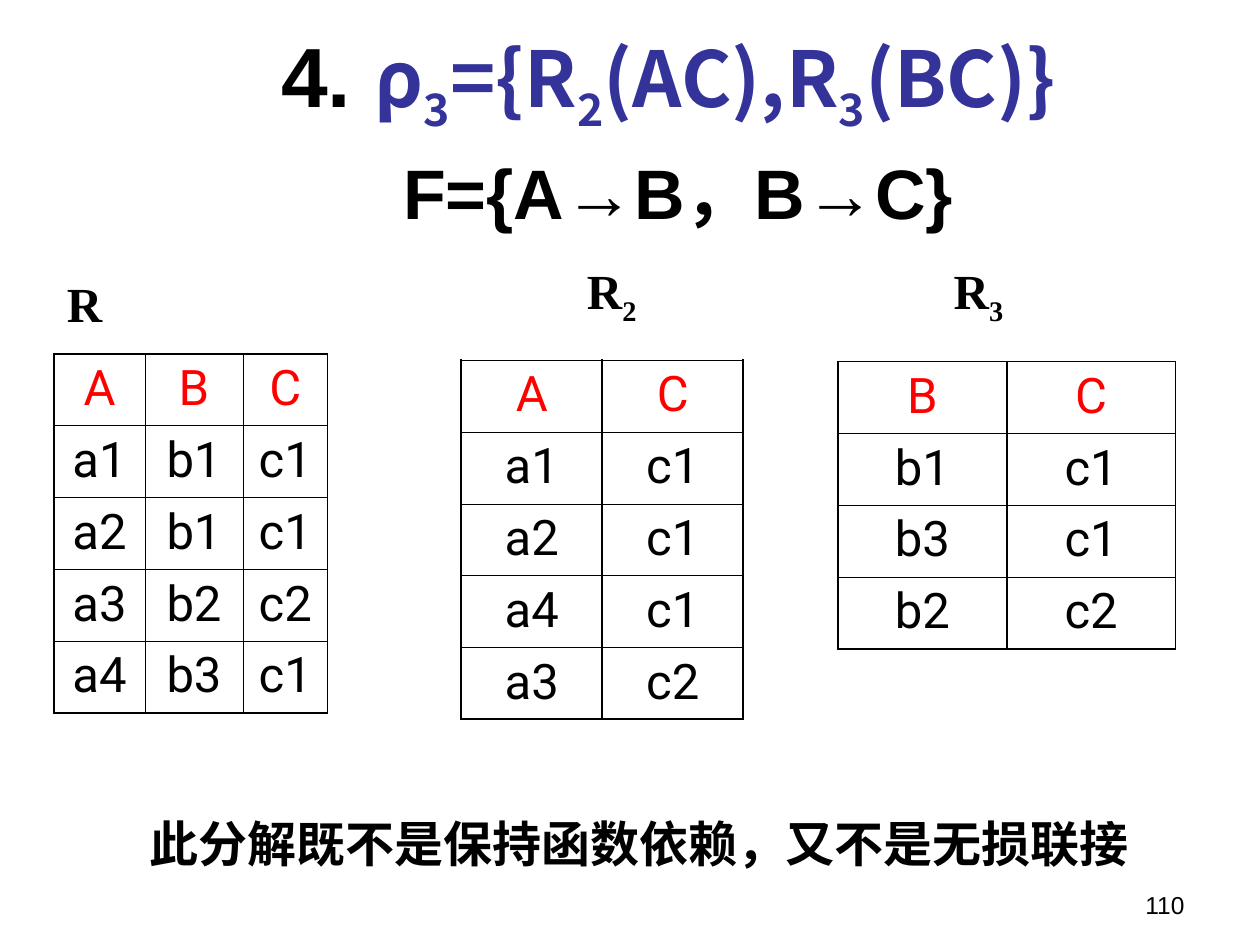
from lxml.etree import SubElement
from pptx import Presentation
from pptx.dml.color import RGBColor
from pptx.enum.text import MSO_ANCHOR as Anchor, PP_ALIGN as Align
from pptx.oxml.ns import qn
from pptx.util import Inches, Pt

COLUMNS, ROWS, UNIT = 100, 75, 0.1
BLACK, RED, BLUE = "000000", "FF0000", "333399"
CJK = "Noto Sans CJK SC"
THIN, THICK = 0.45, 1.08
ROW_HEIGHT = 5.7


def color(value):
    return RGBColor.from_string(value)


def grid(*lengths):
    return [Inches(length * UNIT) for length in lengths]


def set_values(target, values):
    for name, value in values.items():
        setattr(target, name, value)


def add_run(paragraph, text, size, font, fill=BLACK, bold=False, subscript=False):
    run = paragraph.add_run()
    run.text = text
    set_values(run.font, {"size": Pt(size), "name": font, "bold": bold})
    run.font.color.rgb = color(fill)
    properties = run._r.get_or_add_rPr()
    SubElement(properties, qn("a:ea")).set("typeface", CJK)
    if subscript:
        properties.set("baseline", "-25000")


def add_text_box(slide, box, align, anchor=Anchor.TOP, wrap=True):
    shape = slide.shapes.add_textbox(*grid(*box))
    set_values(shape.text_frame, {"word_wrap": wrap, "vertical_anchor": anchor})
    paragraph = shape.text_frame.paragraphs[0]
    paragraph.alignment = align
    return shape.text_frame, paragraph


def add_title(slide, box):
    _, paragraph = add_text_box(slide, box, Align.CENTER, Anchor.MIDDLE)
    add_run(paragraph, "4. ", 48, "Arial", bold=True)
    parts = ["ρ", "3", "={R", "2", "(AC),R", "3", "(BC)}"]
    for index, part in enumerate(parts):
        add_run(paragraph, part, 44, CJK, BLUE, True, index % 2 == 1)
    paragraph.add_line_break()
    add_run(paragraph, " ", 48, CJK, bold=True)
    add_run(paragraph, "F={A→B，B→C}", 40, "Arial", bold=True)


def add_relation_name(slide, box, index):
    _, paragraph = add_text_box(slide, box, Align.CENTER, wrap=False)
    add_run(paragraph, "R", 28, "Times New Roman", bold=True)
    if index:
        add_run(paragraph, index, 28, "Times New Roman", bold=True, subscript=True)


def add_borders(cell, widths):
    properties = cell._tc.get_or_add_tcPr()
    for side, width in zip("LRTB", widths):
        line = SubElement(properties, qn(f"a:ln{side}"), w=str(int(Pt(width))))
        fill = SubElement(line, qn("a:solidFill"))
        SubElement(fill, qn("a:srgbClr"), val=BLACK)


def add_relation(slide, left, top, column_widths, records, divider):
    rows, columns = len(records), len(column_widths)
    box = grid(left, top, sum(column_widths), rows * ROW_HEIGHT)
    table = slide.shapes.add_table(rows, columns, *box).table
    set_values(table, {"first_row": False, "horz_banding": False})
    for column, width in zip(table.columns, grid(*column_widths)):
        column.width = width
    for row, record in enumerate(records):
        for column, value in enumerate(record.split()):
            cell = table.cell(row, column)
            add_borders(cell, [
                THICK if column == 0 else divider,
                THICK if column == columns - 1 else divider,
                THICK if row == 0 else THIN,
                THICK if row == rows - 1 else THIN,
            ])
            cell.fill.background()
            paragraph = cell.text_frame.paragraphs[0]
            paragraph.alignment = Align.CENTER
            add_run(paragraph, value, 28, "Roboto", BLACK if row else RED)


def add_conclusion(slide, box):
    frame, paragraph = add_text_box(slide, box, Align.LEFT)
    frame.margin_top, frame.margin_left = grid(6, 6)
    paragraph.line_spacing = 0.8
    add_run(paragraph, "此分解既不是保持函数依赖，又不是无损联接", 28, CJK, bold=True)


def add_page_number(slide, box):
    _, paragraph = add_text_box(slide, box, Align.RIGHT, Anchor.BOTTOM)
    add_run(paragraph, "110", 14, "Arial")


def main():
    presentation = Presentation()
    width, height = grid(COLUMNS, ROWS)
    set_values(presentation, {"slide_width": width, "slide_height": height})
    slide = presentation.slides.add_slide(presentation.slide_layouts[6])
    add_page_number(slide, (71.7, 68.3, 23.3, 5.2))
    add_title(slide, (8.3, 2.3, 89.5, 16))
    add_conclusion(slide, (5.9, 59.5, 89, 11.8))
    add_relation(slide, 4.3, 28.1, [7.2, 7.8, 6.7],
                 ["A B C", "a1 b1 c1", "a2 b1 c1", "a3 b2 c2", "a4 b3 c1"], THIN)
    add_relation(slide, 36.6, 28.6, [11.2] * 2,
                 ["A C", "a1 c1", "a2 c1", "a4 c1", "a3 c2"], THICK)
    add_relation(slide, 66.5, 28.7, [13.4] * 2,
                 ["B C", "b1 c1", "b3 c1", "b2 c2"], THICK)
    add_relation_name(slide, (4.3, 21.2, 4.8, 5.7), "")
    for left, index in ((45.6, "2"), (74.7, "3")):
        add_relation_name(slide, (left, 20.2, 5.9, 6.3), index)
    presentation.save("out.pptx")


if __name__ == "__main__":
    main()
